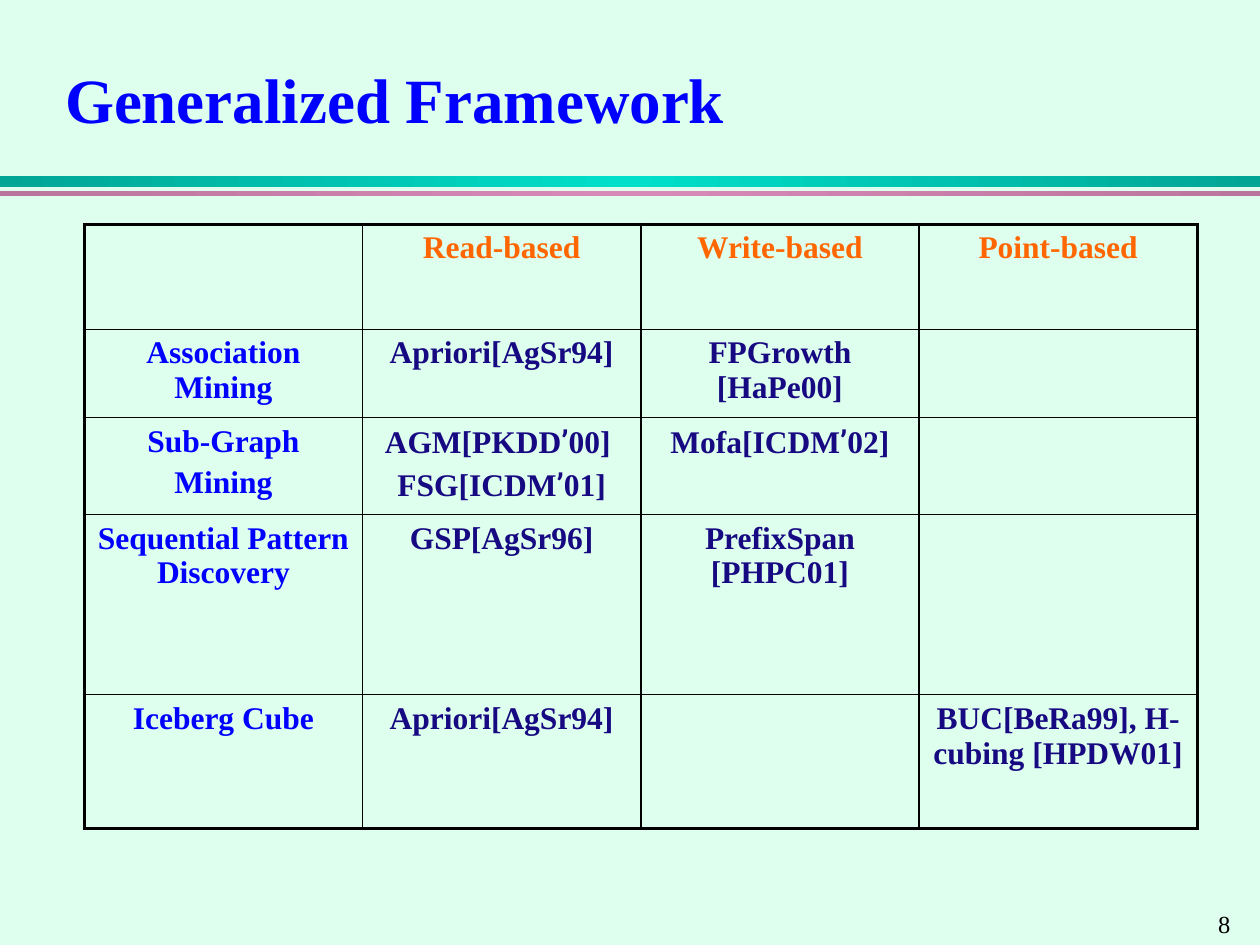
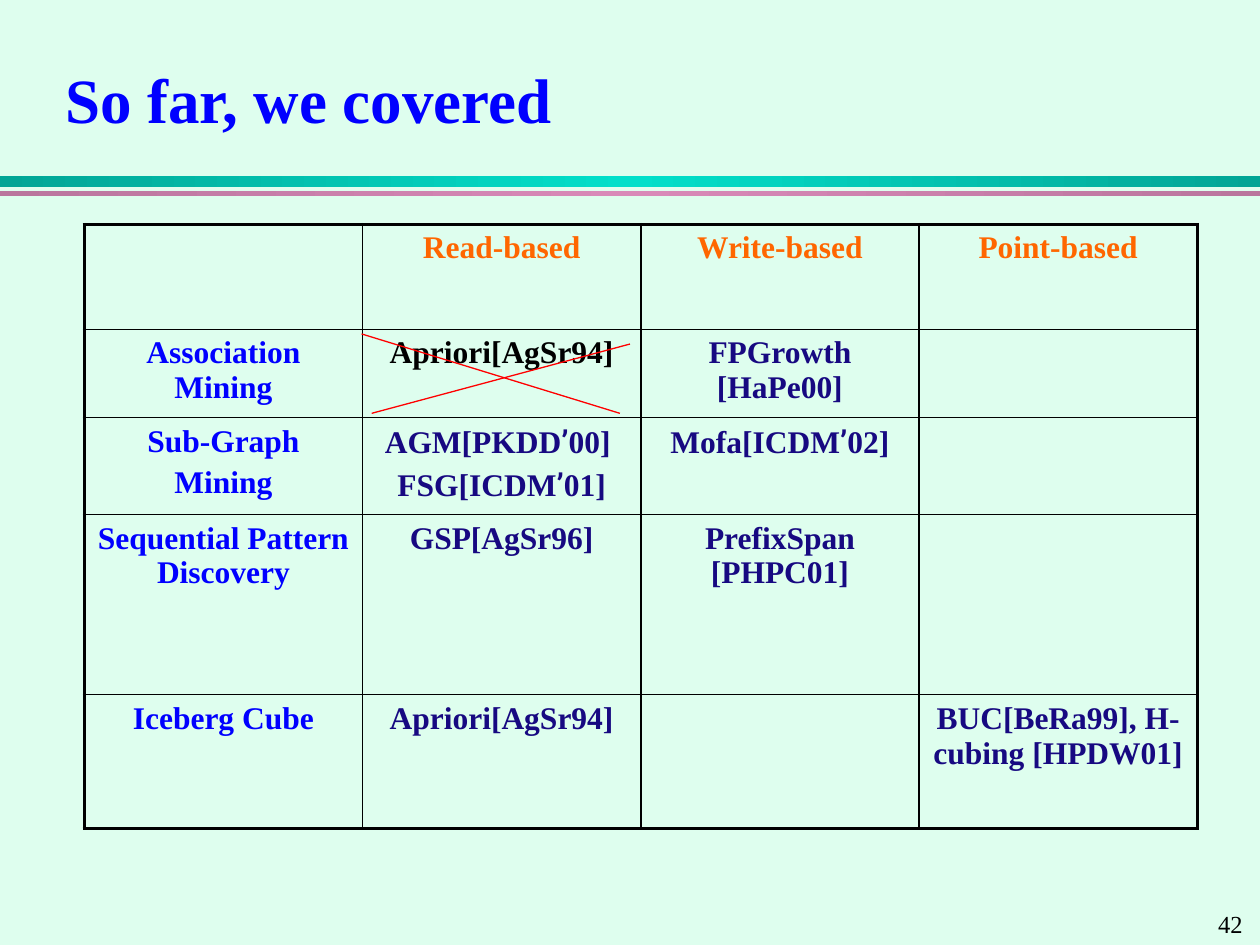
"""Build two slides that compare mining algorithms by access style."""
from copy import deepcopy
from dataclasses import dataclass

from lxml import etree
from pptx import Presentation
from pptx import util as u
from pptx.dml.color import RGBColor
from pptx.enum import shapes, text
from pptx.oxml import ns

HEADINGS = ["", "Read-based", "Write-based", "Point-based"]
ALGORITHMS = [
    ["Association Mining", "Apriori[AgSr94]", "FPGrowth [HaPe00]", ""],
    ["Sub-Graph\nMining", "AGM[PKDD’00] \nFSG[ICDM’01]", "Mofa[ICDM’02]", ""],
    ["Sequential Pattern Discovery", "GSP[AgSr96]", "PrefixSpan [PHPC01]", ""],
    ["Iceberg Cube", "Apriori[AgSr94]", "", "BUC[BeRa99], H-cubing [HPDW01]"],
]
SLIDES = [
    {"title": "Generalized Framework", "number": "8", "covered": [], "strikes": []},
    {
        "title": "So far, we covered",
        "number": "42",
        "covered": [(1, 1)],
        "strikes": [(212.4, 236.2, 360, 196.6), (354.2, 236.2, 206.6, 190.8)],
    },
]
TABLE_LEFT, TABLE_TOP, COLUMN_WIDTH = 48.2, 128.3, 159
ROW_HEIGHTS = [60, 50.2, 55.4, 102.9, 76.4]


@dataclass(frozen=True)
class Theme:
    """Colours, fonts and sizes shared by the slides."""

    background: str = "DEFEEE"
    title: str = "0000FF"
    heading: str = "FF6600"
    entry: str = "170981"
    black: str = "000000"
    strike: str = "FF0000"
    font: str = "Times New Roman"
    apostrophe_font: str = "Roboto"
    title_size: float = 36
    table_size: float = 18
    number_size: float = 14
    outer_border: float = 2.25
    inner_border: float = 1
    bands: tuple = ((100.8, 5.8, "00A595", "00DFCA"), (109.4, 2.9, "BA759D", "D989B8"))


THEME = Theme()


def rgb(value):
    """Turn a hex value into a colour."""
    return RGBColor.from_string(value)


def write(frame, words, size, color, bold=False, align=text.PP_ALIGN.LEFT):
    """Write formatted paragraphs, one for each line of words."""
    for index, line in enumerate(words.split("\n")):
        paragraph = frame.add_paragraph() if index else frame.paragraphs[0]
        paragraph.alignment = align
        if index:
            paragraph.space_before = u.Pt(size * 0.2)
        for piece in filter(None, line.partition("’")):
            run = paragraph.add_run()
            run.text = piece
            run.font.name = THEME.apostrophe_font if piece == "’" else THEME.font
            run.font.size = u.Pt(size)
            run.font.bold = bold
            run.font.color.rgb = rgb(color)


def add_band(slide, width, top, height, edge, middle):
    """Draw a full-width band that is brightest in the middle."""
    band = slide.shapes.add_shape(
        shapes.MSO_SHAPE.RECTANGLE, 0, u.Pt(top), width, u.Pt(height))
    band.shadow.inherit = False
    band.line.fill.background()
    band.fill.gradient()
    band.fill.gradient_angle = 0
    first_stop = next(band._element.iter(ns.qn("a:gs")))
    first_stop.addnext(deepcopy(first_stop))
    for stop, position, color in zip(
            band.fill.gradient_stops, (0, 0.5, 1), (edge, middle, edge)):
        stop.position = position
        stop.color.rgb = rgb(color)


def add_number(slide, number):
    """Write the page number in the lower right corner."""
    box = slide.shapes.add_textbox(u.Pt(689), u.Pt(516.2), u.Pt(31), u.Pt(23.8))
    box.text_frame.word_wrap = True
    write(box.text_frame, number, THEME.number_size, THEME.black)


def set_title(slide, words):
    """Place and fill the title."""
    title = slide.shapes.title
    title.left, title.top = u.Pt(30), u.Pt(30)
    title.width, title.height = u.Pt(660), u.Pt(52.5)
    frame = title.text_frame
    frame.auto_size = text.MSO_AUTO_SIZE.NONE
    frame.vertical_anchor = text.MSO_ANCHOR.MIDDLE
    write(frame, words, THEME.title_size, THEME.title, bold=True)


def set_borders(cell, outer_sides):
    """Draw the cell edges, thick where they lie on the table outline."""
    properties = cell._tc.get_or_add_tcPr()
    for index, (side, outer) in enumerate(zip("LRTB", outer_sides)):
        width = THEME.outer_border if outer else THEME.inner_border
        line = etree.Element(ns.qn(f"a:ln{side}"), w=str(int(u.Pt(width))))
        fill = etree.SubElement(line, ns.qn("a:solidFill"))
        etree.SubElement(fill, ns.qn("a:srgbClr"), val=THEME.black)
        properties.insert(index, line)


def entry_color(row, column, covered):
    """Choose the text colour for a place in the table."""
    if (row, column) in covered:
        return THEME.black
    if row == 0:
        return THEME.heading
    return THEME.entry if column else THEME.title


def add_algorithm_table(slide, covered):
    """Add the table of algorithms, with covered ones in black."""
    entries = [HEADINGS, *ALGORITHMS]
    last_row, last_column = len(entries) - 1, len(HEADINGS) - 1
    table = slide.shapes.add_table(
        len(entries), len(HEADINGS), u.Pt(TABLE_LEFT), u.Pt(TABLE_TOP),
        u.Pt(COLUMN_WIDTH * len(HEADINGS)), u.Pt(sum(ROW_HEIGHTS))).table
    table.first_row = table.horz_banding = False
    for column in table.columns:
        column.width = u.Pt(COLUMN_WIDTH)
    for row, height in enumerate(ROW_HEIGHTS):
        table.rows[row].height = u.Pt(height)
        for column, words in enumerate(entries[row]):
            cell = table.cell(row, column)
            cell.fill.background()
            set_borders(cell, (column == 0, column == last_column,
                               row == 0, row == last_row))
            write(cell.text_frame, words, THEME.table_size,
                  entry_color(row, column, covered), bold=True,
                  align=text.PP_ALIGN.CENTER)


def add_strike(slide, points):
    """Draw one line of the cross over a covered entry."""
    line = slide.shapes.add_connector(
        shapes.MSO_CONNECTOR.STRAIGHT, *(u.Pt(value) for value in points))
    line.line.color.rgb = rgb(THEME.strike)
    line.line.width = u.Pt(0.75)
    etree.SubElement(line._element.spPr, ns.qn("a:effectLst"))


def main():
    """Build and save the presentation."""
    presentation = Presentation()
    presentation.slide_width, presentation.slide_height = u.Pt(720), u.Pt(540)
    background = presentation.slide_master.background.fill
    background.solid()
    background.fore_color.rgb = rgb(THEME.background)
    for content in SLIDES:
        slide = presentation.slides.add_slide(presentation.slide_layouts[5])
        for band in THEME.bands:
            add_band(slide, presentation.slide_width, *band)
        add_number(slide, content["number"])
        set_title(slide, content["title"])
        add_algorithm_table(slide, content["covered"])
        for points in content["strikes"]:
            add_strike(slide, points)
    presentation.save("out.pptx")


if __name__ == "__main__":
    main()
